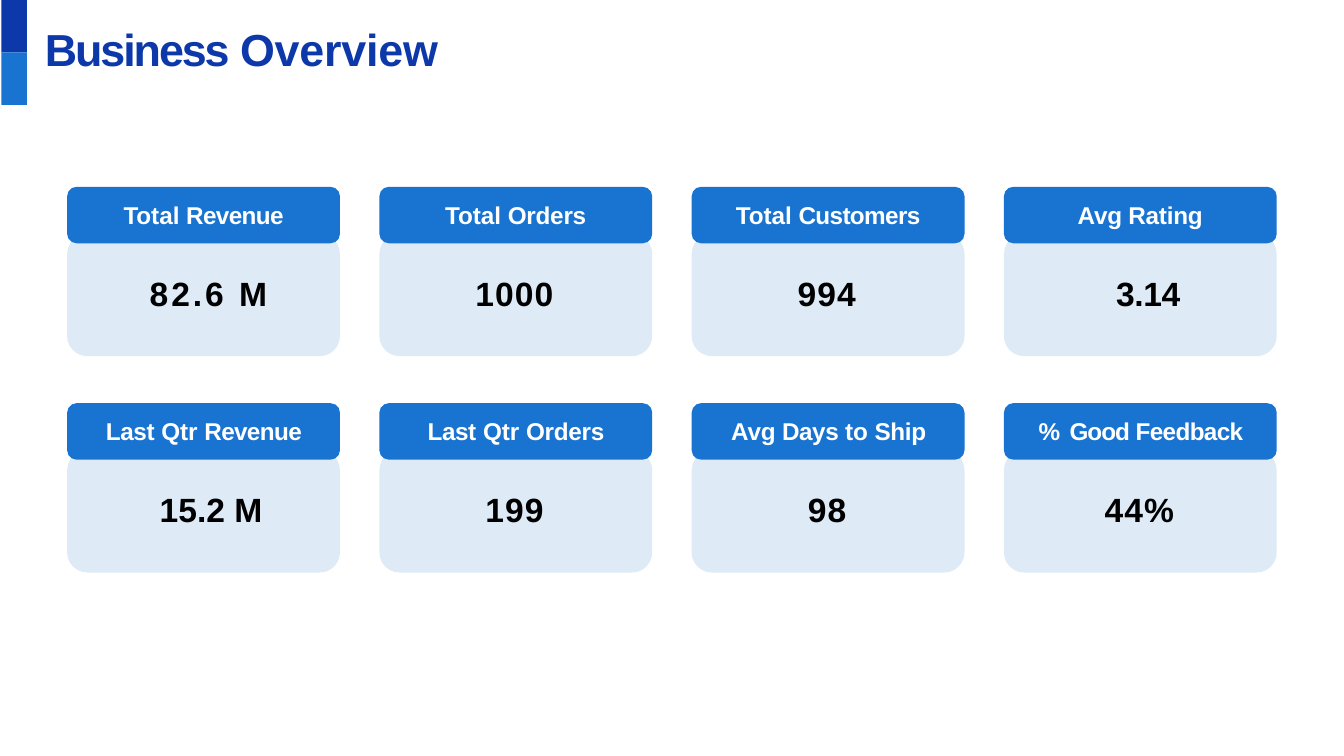
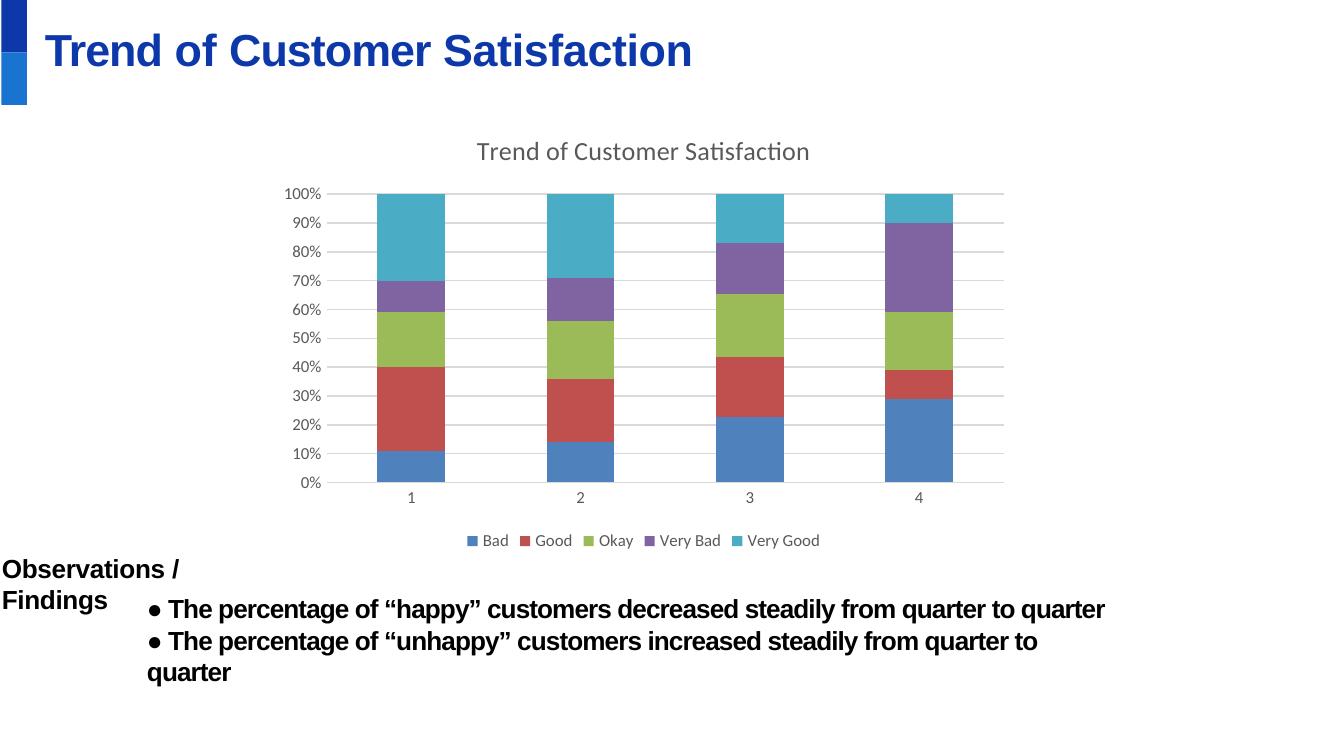
"""Build a two-slide business review: key figures and customer satisfaction."""
from lxml import etree
from pptx import Presentation
from pptx.chart.data import CategoryChartData
from pptx.dml.color import RGBColor
from pptx.enum.chart import XL_CHART_TYPE, XL_LEGEND_POSITION, XL_TICK_MARK
from pptx.enum.shapes import MSO_SHAPE
from pptx.enum.text import MSO_ANCHOR, MSO_AUTO_SIZE, PP_ALIGN
from pptx.oxml.ns import qn
from pptx.util import Inches, Pt

RECTANGLE, ROUNDED = MSO_SHAPE.RECTANGLE, MSO_SHAPE.ROUNDED_RECTANGLE
LEFT, TOP = PP_ALIGN.LEFT, MSO_ANCHOR.TOP
NO_AUTOFIT = MSO_AUTO_SIZE.NONE
NO_TICKS = XL_TICK_MARK.NONE
STACKED_100 = XL_CHART_TYPE.COLUMN_STACKED_100
LEGEND_BOTTOM = XL_LEGEND_POSITION.BOTTOM

SLIDE_WIDTH = 10
SLIDE_HEIGHT = SLIDE_WIDTH * 9 / 16

NAVY = RGBColor(0x0D, 0x38, 0xA9)
BLUE = RGBColor(0x19, 0x73, 0xD1)
CARD_BLUE = RGBColor(0x5B, 0x9B, 0xD4)
WHITE = RGBColor(0xFF, 0xFF, 0xFF)
BLACK = RGBColor(0, 0, 0)
GREY = RGBColor(0x59, 0x59, 0x59)
GRID_GREY = RGBColor(0xD9, 0xD9, 0xD9)

TITLE_FONT = {"name": "Arial", "size": Pt(24), "bold": True, "color": NAVY}
LABEL_FONT = {"name": "Arial", "size": Pt(13), "bold": True, "color": WHITE}
VALUE_FONT = {"name": "Arial", "size": Pt(18), "bold": True, "color": BLACK}
NOTE_FONT = {"name": "Arial", "size": Pt(14), "bold": True, "color": BLACK}
CHART_FONT = {"name": "Calibri", "size": Pt(10), "color": BLACK}
CHART_SMALL_FONT = {"name": "Calibri", "size": Pt(9), "color": GREY}
CHART_TITLE_FONT = {"name": "Calibri", "size": Pt(14), "bold": False, "color": GREY}

OVERVIEW_TITLE = [("Business ", -1.1), ("Overview", -0.1)]
TREND_TITLE = [("Trend ", -0.5), ("of ", 0), ("Customer ", -0.5), ("Satisfaction", -0.2)]

CARDS = [
    [([("Total ", 0), ("Revenue", -0.3)], 1.22, [("82.6 ", 1.6), ("M", 0.1)], 0.95, 0.06),
     ([("Total ", 0), ("Orders", -0.1)], 1.08, [("1000", 0.6)], 0.63, 0),
     ([("Total ", 0), ("Customers", -0.3)], 1.4, [("994", 0.6)], 0.48, 0),
     ([("Avg Rating", -0.1)], 0.96, [("3.14", -0.2)], 0.61, 0.11)],
    [([("Last", -0.2), (" Qtr ", 0), ("Revenue", -0.3)], 1.48,
      [("15.2 ", 0), ("M", 0.1)], 0.8, 0.06),
     ([("Last", -0.2), (" Qtr ", 0), ("Orders", -0.1)], 1.34, [("199", 0.6)], 0.48, 0),
     ([("Avg ", -0.1), ("Days ", -0.2), ("to ", 0), ("Ship", -0.2)], 1.47,
      [("98", 0.6)], 0.33, 0),
     ([("% ", 0.7), ("Good ", -0.5), ("Feedback", -0.3)], 1.54, [("44%", 0.6)], 0.56, 0)],
]
CARD_LEFT, CARD_TOP, CARD_WIDTH = 0.5, 1.39, 2.03
COLUMN_STEP, ROW_STEP = (9 - CARD_WIDTH) / 3, 1.61

CHART_TITLE = "Trend of Customer Satisfaction"
QUARTERS = ["1", "2", "3", "4"]
RATINGS = [
    ("Bad", (11, 14, 23, 29), RGBColor(0x4F, 0x81, 0xBD)),
    ("Good", (29, 22, 21, 10), RGBColor(0xC0, 0x50, 0x4D)),
    ("Okay", (19, 20, 22, 20), RGBColor(0x9B, 0xBB, 0x59)),
    ("Very Bad", (11, 15, 18, 31), RGBColor(0x80, 0x64, 0xA2)),
    ("Very Good", (30, 29, 17, 10), RGBColor(0x4B, 0xAC, 0xC6)),
]
FINDINGS_HEADING = [("Observations ", -0.2), ("/ ", 0.5), ("Findings", -0.2)]
FINDINGS = [
    [("● The percentage of “happy” customers decreased steadily from quarter to quarter", -0.5)],
    [("● The percentage of “unhappy” customers increased steadily from quarter to quarter", -0.5)],
]


def format_font(font, style):
    """Apply a dict of font values."""
    for name, value in style.items():
        if name == "color":
            font.color.rgb = value
        else:
            setattr(font, name, value)


def write_text(shape, paragraphs, style, space_before=1, top_inset=0.01):
    """Fill a shape with paragraphs of (text, letter spacing) runs."""
    frame = shape.text_frame
    settings = {"word_wrap": True, "auto_size": NO_AUTOFIT, "vertical_anchor": TOP,
                "margin_left": 0, "margin_right": 0, "margin_bottom": 0,
                "margin_top": Inches(top_inset)}
    for name, value in settings.items():
        setattr(frame, name, value)
    for index, runs in enumerate(paragraphs):
        paragraph = frame.add_paragraph() if index else frame.paragraphs[0]
        paragraph.alignment = LEFT
        paragraph.space_before = Pt(0 if index else space_before)
        properties = paragraph._p.get_or_add_pPr()
        properties.set("marL", str(Pt(1)))
        properties.set("indent", "0")
        for text, spacing in runs:
            run = paragraph.add_run()
            run.text = text
            format_font(run.font, style)
            run._r.get_or_add_rPr().set("spc", str(round(spacing * 100)))


def add_text(slide, box, paragraphs, style, **options):
    """Add a text box."""
    shape = slide.shapes.add_textbox(*map(Inches, box))
    write_text(shape, paragraphs, style, **options)


def add_block(slide, kind, box, color, radius=0, opacity=100):
    """Add a filled shape without an outline."""
    shape = slide.shapes.add_shape(kind, *map(Inches, box))
    shape.shadow.inherit = False
    shape.fill.solid()
    shape.fill.fore_color.rgb = color
    shape.line.fill.background()
    if radius:
        shape.adjustments[0] = radius / box[3]
    if opacity < 100:
        color_element = shape._element.spPr.find(qn("a:solidFill"))[0]
        etree.SubElement(color_element, qn("a:alpha")).set("val", str(opacity * 1000))


def add_titled_slide(presentation, title_runs):
    """Add a slide with the corner bands and a title."""
    slide = presentation.slides.add_slide(presentation.slide_layouts[5])
    for index, color in enumerate((NAVY, BLUE)):
        add_block(slide, RECTANGLE, (0.01, index * 0.39, 0.19, 0.39), color)
    title = slide.shapes.title
    box = {"left": 0.32, "top": 0.15, "width": 7.01, "height": 0.43}
    for name, value in box.items():
        setattr(title, name, Inches(value))
    write_text(title, [title_runs], TITLE_FONT)
    return slide


def add_card(slide, left, top, card):
    """Add one key figure with its label, the figure shifted from the card centre."""
    label, label_width, value, value_width, shift = card
    center = left + CARD_WIDTH / 2
    add_block(slide, ROUNDED, (left, top + 0.35, CARD_WIDTH, 0.91), CARD_BLUE, 0.15, 20)
    add_text(slide, (center + shift - value_width / 2, top + 0.63, value_width, 0.33),
             [value], VALUE_FONT)
    add_block(slide, ROUNDED, (left, top, CARD_WIDTH, 0.42), BLUE, 0.07)
    add_text(slide, (center - label_width / 2, top + 0.09, label_width, 0.24),
             [label], LABEL_FONT)


def add_satisfaction_chart(slide):
    """Add the stacked chart of ratings by quarter."""
    data = CategoryChartData()
    data.categories = QUARTERS
    for name, values, _ in RATINGS:
        data.add_series(name, values)
    box = map(Inches, (2, 0.83, 5.58, 3.31))
    chart = slide.shapes.add_chart(STACKED_100, *box, data).chart
    format_font(chart.font, CHART_FONT)

    chart.has_title = True
    chart.chart_title.include_in_layout = False
    title_frame = chart.chart_title.text_frame
    title_frame.text = CHART_TITLE
    format_font(title_frame.paragraphs[0].runs[0].font, CHART_TITLE_FONT)

    chart.has_legend = True
    chart.legend.position = LEGEND_BOTTOM
    chart.legend.include_in_layout = False
    format_font(chart.legend.font, CHART_SMALL_FONT)

    plot = chart.plots[0]
    plot.gap_width, plot.overlap, plot.vary_by_categories = 150, 100, False
    for series, (_, _, color) in zip(plot.series, RATINGS):
        series.format.fill.solid()
        series.format.fill.fore_color.rgb = color

    value_axis, category_axis = chart.value_axis, chart.category_axis
    for axis in (value_axis, category_axis):
        axis.major_tick_mark = axis.minor_tick_mark = NO_TICKS
        format_font(axis.tick_labels.font, CHART_SMALL_FONT)
    value_axis.has_major_gridlines = True
    value_axis.tick_labels.number_format = "0%"
    value_axis.tick_labels.number_format_is_linked = False
    value_axis.format.line.fill.background()
    for line in (value_axis.major_gridlines.format.line, category_axis.format.line):
        line.color.rgb = GRID_GREY
        line.width = Pt(0.75)


def main():
    """Build and save the presentation."""
    presentation = Presentation()
    presentation.slide_width = Inches(SLIDE_WIDTH)
    presentation.slide_height = Inches(SLIDE_HEIGHT)

    overview = add_titled_slide(presentation, OVERVIEW_TITLE)
    for row, cards in enumerate(CARDS):
        for column, card in enumerate(cards):
            add_card(overview, CARD_LEFT + column * COLUMN_STEP, CARD_TOP + row * ROW_STEP, card)

    trend = add_titled_slide(presentation, TREND_TITLE)
    add_text(trend, (0, 4.09, 2.17, 0.29), [FINDINGS_HEADING], NOTE_FONT, top_inset=0.02)
    add_text(trend, (1.08, 4.41, 7.25, 0.88), FINDINGS, NOTE_FONT, space_before=0.1, top_inset=0)
    add_satisfaction_chart(trend)

    presentation.save("out.pptx")


if __name__ == "__main__":
    main()
